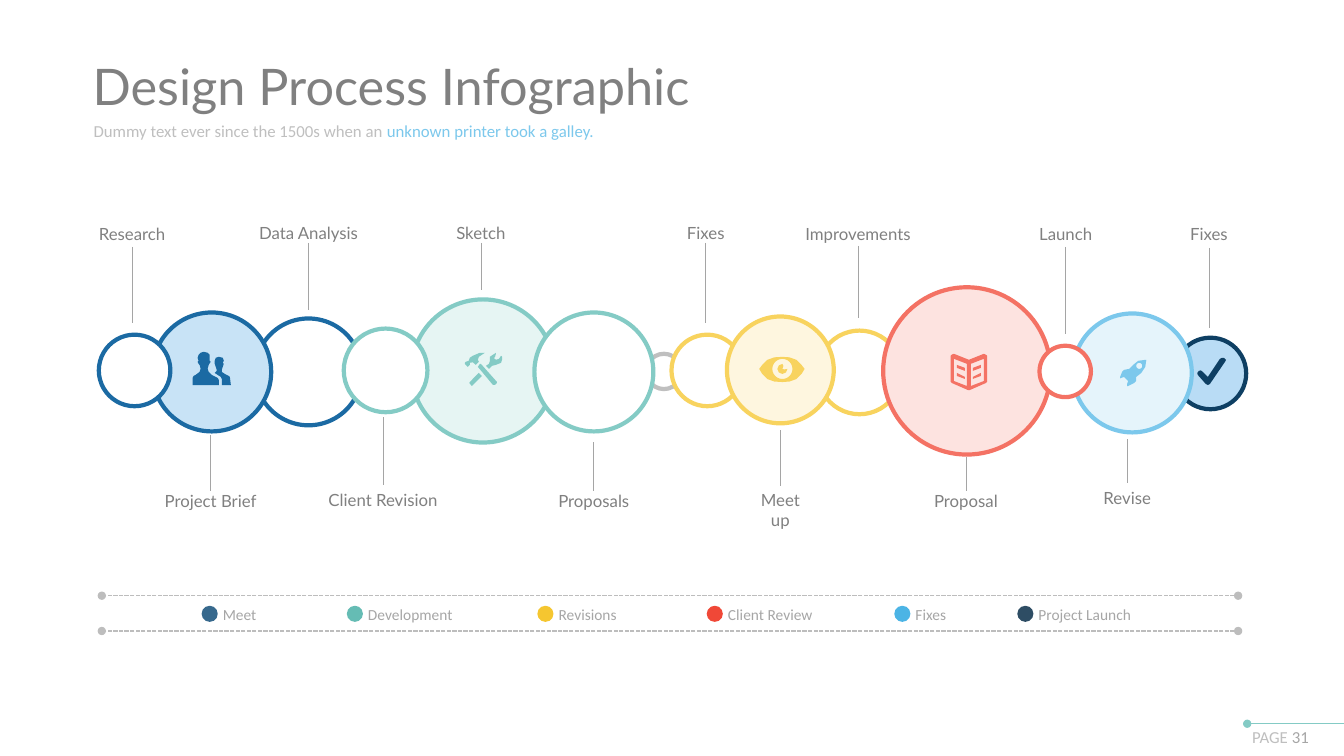
import math

import lxml.etree
import pptx
import pptx.dml.color
import pptx.enum.dml
import pptx.enum.shapes
import pptx.enum.text
import pptx.oxml.ns
import pptx.util

Inches = pptx.util.Inches
RGBColor = pptx.dml.color.RGBColor
WHITE = RGBColor(0xFF, 0xFF, 0xFF)
SILVER = RGBColor(0xBF, 0xBF, 0xBF)
RAIL_GRAY = RGBColor(0xBD, 0xBD, 0xBD)
LEADER_GRAY = RGBColor(0xA5, 0xA5, 0xA5)
LEGEND_GRAY = RGBColor(0xA6, 0xA6, 0xA6)
TEXT_GRAY = RGBColor(0x80, 0x80, 0x80)
BLUE = RGBColor(0x1B, 0x6A, 0xA3)
PALE_BLUE = RGBColor(0xC8, 0xE3, 0xF6)
TEAL = RGBColor(0x84, 0xCB, 0xC5)
PALE_TEAL = RGBColor(0xE6, 0xF5, 0xF3)
YELLOW = RGBColor(0xF8, 0xD3, 0x5E)
PALE_YELLOW = RGBColor(0xFE, 0xF6, 0xDF)
CORAL = RGBColor(0xF4, 0x72, 0x64)
PALE_CORAL = RGBColor(0xFD, 0xE3, 0xE0)
SKY = RGBColor(0x7C, 0xC8, 0xEC)
PALE_SKY = RGBColor(0xE5, 0xF4, 0xFB)
NAVY = RGBColor(0x0E, 0x3F, 0x63)
PALE_NAVY = RGBColor(0xB9, 0xDC, 0xF5)
LEGEND_BLUE = RGBColor(0x14, 0x4F, 0x7A)
LEGEND_TEAL = RGBColor(0x4B, 0xB1, 0xA8)
LEGEND_YELLOW = RGBColor(0xF4, 0xBD, 0x0C)
LEGEND_RED = RGBColor(0xEE, 0x29, 0x14)
LEGEND_SKY = RGBColor(0x2D, 0xA7, 0xE1)
LEGEND_NAVY = RGBColor(0x0A, 0x2F, 0x4A)

RINGS = [
    (2.53, 3.16, 1.06, WHITE, BLUE), (8.11, 3.28, 0.83, WHITE, YELLOW),
    (1.51, 3.1, 1.18, PALE_BLUE, BLUE), (4.08, 2.97, 1.42, PALE_TEAL, TEAL),
    (3.41, 3.26, 0.83, WHITE, TEAL), (5.3, 3.1, 1.18, WHITE, TEAL),
    (6.66, 3.32, 0.71, WHITE, YELLOW), (8.76, 2.85, 1.66, PALE_CORAL, CORAL),
    (7.21, 3.14, 1.06, PALE_YELLOW, YELLOW), (11.65, 3.35, 0.71, PALE_NAVY, NAVY),
    (10.64, 3.11, 1.18, PALE_SKY, SKY), (10.31, 3.43, 0.51, WHITE, CORAL),
    (0.98, 3.32, 0.71, WHITE, BLUE),
]
STAGES = [
    ("Project Brief", 2.09, 4.87, 0.93, 4.87, 4.32),
    ("Data Analysis", 3.06, 2.21, 1.01, 2.41, 3.08),
    ("Sketch", 4.77, 2.21, 0.49, 2.41, 2.88),
    ("Client Revision", 3.8, 4.86, 1.11, 4.81, 4.14),
    ("Fixes", 7, 2.21, 0.38, 2.41, 3.2),
    ("Meet up", 7.74, 4.86, 0.58, 4.82, 4.27, True),
    ("Revise", 11.18, 4.84, 0.49, 4.79, 4.36),
    ("Research", 1.31, 2.22, 0.68, 2.45, 3.2),
    ("Proposals", 5.89, 4.87, 0.73, 4.86, 4.39),
    ("Improvements", 8.51, 2.22, 1.07, 2.44, 3.15),
    ("Proposal", 9.58, 4.87, 0.65, 4.87, 4.53),
    ("Fixes", 11.99, 2.22, 0.38, 2.46, 3.25),
    ("Launch", 10.57, 2.22, 0.53, 2.45, 3.31),
]
LEGEND = [
    ("Meet", 2, 0.34, LEGEND_BLUE), ("Development", 3.44, 0.87, LEGEND_TEAL),
    ("Revisions", 5.33, 0.6, LEGEND_YELLOW), ("Client Review", 7.01, 0.88, LEGEND_RED),
    ("Fixes", 8.87, 0.32, LEGEND_SKY), ("Project Launch", 10.09, 0.94, LEGEND_NAVY),
]


def round_outline(x, y, radius):
    """Return the points of a circle."""
    angles = [math.tau * step / 24 for step in range(24)]
    return [(x + radius * math.cos(a), y + radius * math.sin(a)) for a in angles]


EYE = [
    [(0, 12), (3, 8), (8, 3), (15, 0.5), (23, 0), (30, 0.5), (37, 3), (42, 8), (45, 12),
     (42, 17), (37, 22), (30, 24.5), (23, 25), (15, 24.5), (8, 22), (3, 17)],
    round_outline(23, 12, 10),
    [(23, 12), (24, 9), (23, 7), (19.5, 8.5), (18, 12), (19.5, 15.5), (23, 17),
     (26.5, 15.5), (28, 12), (25, 12.5)],
]
PEOPLE = [
    [(19, 23), (16, 20), (15, 17), (16, 13), (18, 10), (17, 9), (17, 3), (15, 1), (11, 0),
     (8, 1), (6, 3), (5, 6), (6, 9), (5, 10), (6, 12), (7, 13), (8, 17), (7, 20), (3, 23),
     (1, 24), (0, 26), (0, 33), (26, 33), (26, 28), (25, 26)],
    [(38, 33), (37, 25), (36, 24), (32, 22), (29, 20), (29, 18), (30, 15), (31, 12),
     (30, 11), (31, 9), (30, 6), (26, 5), (23, 6), (22, 9), (22, 12), (23, 15), (24, 18),
     (24, 19), (22, 21), (28, 25), (29, 27), (29, 33)],
]
TOOLS = [
    [(5, 11), (8, 10.5), (11, 13), (14, 10), (13, 8), (14, 5), (20, 1), (15, 1), (8, 4),
     (5, 6), (4, 9), (1, 10), (0, 11), (0, 12), (3, 15), (5, 13)],
    [(16, 12), (15, 12), (13, 15), (28, 33), (30, 33), (32, 31), (32, 30)],
    [(37, 5), (36, 4), (34, 7), (31, 8), (29, 6.5), (30, 5), (31, 2), (31, 1), (25, 5),
     (25, 9), (24, 12), (21, 14), (24, 17), (27, 14), (31, 13), (36, 11), (37, 8)],
    [(5, 30), (4.5, 31), (7, 34), (8, 33), (17, 24), (14, 21)],
]
LEFT_PAGE = [
    [(16, 32), (3, 27), (3, 5), (16, 10)],
    [(14, 23), (6, 19), (6, 22), (14, 25)],
    [(14, 14), (6, 11), (6, 14), (14, 17)],
]
BOOK = [
    [(33, 0), (18, 6), (3, 0), (1, 1), (0, 2), (0, 28), (1, 29), (17, 36), (19, 36),
     (35, 29), (36, 28), (36, 2), (35, 1)],
    *LEFT_PAGE,
    *[[(36 - x, y) for x, y in contour] for contour in LEFT_PAGE],
]
CHECK = [
    [(11, 27), (9, 26), (1, 17), (0.5, 15), (2, 13), (4, 12.5), (6, 14), (11, 19), (23, 1),
     (25, 0), (27, 0), (29, 2), (28, 4), (13, 26)],
]
ROCKET = [
    [(17, 18), (22, 14), (26, 8), (27, 1), (26, 1), (19, 2), (14, 6), (10, 10), (5, 11),
     (3, 13), (1, 18), (1, 19.5), (2, 19), (5, 18), (9, 22), (8, 25), (8, 27), (9, 27),
     (15, 24), (17, 22)],
    round_outline(20, 7, 3),
]
ICONS = [
    (7.53, 3.54, YELLOW, EYE), (1.91, 3.49, BLUE, PEOPLE), (4.61, 3.49, TEAL, TOOLS),
    (9.43, 3.51, CORAL, BOOK), (11.87, 3.55, NAVY, CHECK), (11.1, 3.56, SKY, ROCKET),
]


def add_child(parent, tag, **attributes):
    """Append a DrawingML element to a parent element."""
    lxml.etree.SubElement(parent, pptx.oxml.ns.qn(tag), **attributes)


def add_text(page, left, top, width, height, spans, size, font, centred=False,
             inset=None, wrap=True):
    """Add one paragraph made of (text, colour) spans."""
    box = page.shapes.add_textbox(Inches(left), Inches(top), Inches(width), Inches(height))
    frame = box.text_frame
    frame.word_wrap = wrap
    if inset is not None:
        frame.margin_left = frame.margin_right = Inches(inset)
        frame.margin_top = frame.margin_bottom = Inches(inset)
    para = frame.paragraphs[0]
    if centred:
        para.alignment = pptx.enum.text.PP_ALIGN.CENTER
    para.font.size = pptx.util.Pt(size)
    para.font.name = font
    for text, colour in spans:
        span = para.add_run()
        span.text = text
        span.font.color.rgb = colour
    return box


def add_line(page, start, end, colour, width, dash=None, ovals=()):
    """Add a straight line with optional dashes and oval ends."""
    line = page.shapes.add_connector(
        pptx.enum.shapes.MSO_CONNECTOR.STRAIGHT, *map(Inches, start), *map(Inches, end))
    line.line.color.rgb = colour
    line.line.width = pptx.util.Pt(width)
    if dash is not None:
        line.line.dash_style = dash
    for tag in ovals:
        add_child(line.line._get_or_add_ln(), tag, type="oval")
    add_child(line._element.spPr, "a:effectLst")
    return line


def add_circle(page, left, top, diameter, fill, outline=None, alpha=None):
    """Add a filled circle, outlined or partly transparent on request."""
    circle = page.shapes.add_shape(
        pptx.enum.shapes.MSO_SHAPE.OVAL, *map(Inches, (left, top, diameter, diameter)))
    circle.shadow.inherit = False
    circle.fill.solid()
    circle.fill.fore_color.rgb = fill
    if alpha:
        colour = circle._element.spPr.find(".//" + pptx.oxml.ns.qn("a:srgbClr"))
        add_child(colour, "a:alpha", val=str(alpha * 1000))
    if outline is None:
        circle.line.fill.background()
    else:
        circle.line.color.rgb = outline
        circle.line.width = pptx.util.Pt(3)


def add_stage(page, name, middle, top, width, line_start, line_end, wrap=False):
    """Add a stage label and the leader line towards its circle."""
    label = add_text(page, middle - width / 2, top, width, 0.2, [(name, TEXT_GRAY)],
                     12, "Lato", centred=True, inset=0, wrap=wrap)
    leader = add_line(page, (middle, line_start), (middle, line_end), LEADER_GRAY, 0.5)
    below = line_end < line_start
    if abs(line_start - (top if below else top + 0.2)) < 0.015:
        leader.begin_connect(label, 0 if below else 2)


def add_icon(page, left, top, colour, contours):
    """Add an icon whose contours are in hundredths of an inch."""
    placed = [[(Inches(left + x / 100), Inches(top + y / 100)) for x, y in contour]
              for contour in contours]
    builder = page.shapes.build_freeform(*placed[0][0])
    for contour in placed:
        builder.move_to(*contour[0])
        builder.add_line_segments(contour[1:], close=True)
    icon = builder.convert_to_shape()
    icon.shadow.inherit = False
    icon.fill.solid()
    icon.fill.fore_color.rgb = colour
    icon.line.fill.background()


def main():
    """Build the design process slide."""
    deck = pptx.Presentation()
    deck.slide_width, deck.slide_height = Inches(13.33), Inches(7.5)
    page = deck.slides.add_slide(deck.slide_layouts[6])
    add_line(page, (12.37, 7.18), (13.35, 7.18), TEAL, 1, ovals=["a:headEnd"])
    add_text(page, 12.32, 7.16, 1.01, 0.3, [("PAGE ", SILVER), ("31", LEGEND_GRAY)],
             12, "Calibri")
    add_text(page, 0.82, 0.5, 6.95, 0.66, [("Design Process Infographic", TEXT_GRAY)],
             36, "Lato")
    add_text(page, 0.83, 1.15, 5.82, 0.48,
             [("Dummy text ever since the 1500s when an ", SILVER),
              ("unknown printer took a galley.", SKY)], 12, "Calibri")
    add_circle(page, 6.41, 3.51, 0.35, WHITE, SILVER, alpha=85)
    for ring in RINGS:
        add_circle(page, *ring)
    for stage in STAGES:
        add_stage(page, *stage)
    for height in (6.26, 5.91):
        add_line(page, (12.28, height), (1.01, height), RAIL_GRAY, 1,
                 pptx.enum.dml.MSO_LINE.SQUARE_DOT, ["a:headEnd", "a:tailEnd"])
    for name, left, width, colour in LEGEND:
        add_circle(page, left, 6.01, 0.16, colour, alpha=85)
        add_text(page, left + 0.21, 6, width, 0.19, [(name, LEGEND_GRAY)], 11, "Calibri",
                 inset=0, wrap=False)
    for icon in ICONS:
        add_icon(page, *icon)
    deck.save("out.pptx")


if __name__ == "__main__":
    main()
